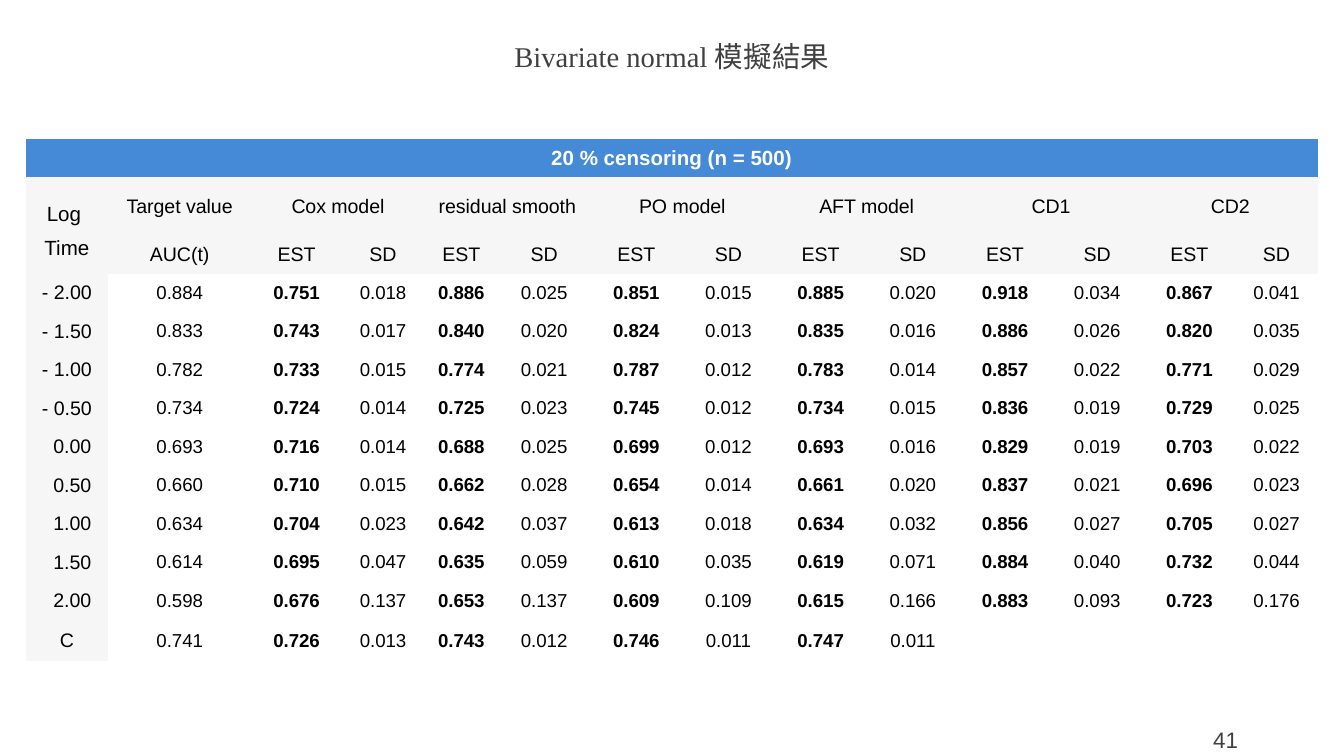
from lxml.etree import SubElement
from pptx import Presentation
from pptx.dml.color import RGBColor
from pptx.enum.text import MSO_ANCHOR as Anchor, PP_ALIGN as Align
from pptx.oxml.ns import qn
from pptx.util import Pt

WHITE = RGBColor(0xFF, 0xFF, 0xFF)
BLACK = RGBColor(0, 0, 0)
CHARCOAL = RGBColor(0x40, 0x40, 0x40)
BLUE = RGBColor(0x44, 0x8A, 0xD7)
PALE_GREY = RGBColor(0xF6, 0xF6, 0xF6)
NO_GRID_STYLE = "{2D5ABB26-0587-4C30-8999-92F81FD0307C}"

COLUMN_WIDTHS = [43.9, 77, 48.2, 44.5, 39.4] + [49.4] * 8 + [44]
ROW_HEIGHT = 20.63
MODEL_ROW_HEIGHT = 31.1
MODELS = ["Cox model", "residual smooth", "PO model", "AFT model", "CD1", "CD2"]
RESULTS = [
    ("- 2.00", "0.884 0.751 0.018 0.886 0.025 0.851 0.015 0.885 0.020 0.918 0.034 0.867 0.041"),
    ("- 1.50", "0.833 0.743 0.017 0.840 0.020 0.824 0.013 0.835 0.016 0.886 0.026 0.820 0.035"),
    ("- 1.00", "0.782 0.733 0.015 0.774 0.021 0.787 0.012 0.783 0.014 0.857 0.022 0.771 0.029"),
    ("- 0.50", "0.734 0.724 0.014 0.725 0.023 0.745 0.012 0.734 0.015 0.836 0.019 0.729 0.025"),
    ("0.00", "0.693 0.716 0.014 0.688 0.025 0.699 0.012 0.693 0.016 0.829 0.019 0.703 0.022"),
    ("0.50", "0.660 0.710 0.015 0.662 0.028 0.654 0.014 0.661 0.020 0.837 0.021 0.696 0.023"),
    ("1.00", "0.634 0.704 0.023 0.642 0.037 0.613 0.018 0.634 0.032 0.856 0.027 0.705 0.027"),
    ("1.50", "0.614 0.695 0.047 0.635 0.059 0.610 0.035 0.619 0.071 0.884 0.040 0.732 0.044"),
    ("2.00", "0.598 0.676 0.137 0.653 0.137 0.609 0.109 0.615 0.166 0.883 0.093 0.723 0.176"),
    ("C", "0.741 0.726 0.013 0.743 0.012 0.746 0.011 0.747 0.011"),
]


def format_span(span, size, color, font="Arial", bold=False):
    """Set the size, colour, typeface and weight of one run."""
    span.font.size = Pt(size)
    span.font.color.rgb = color
    span.font.name = font
    span.font.bold = bold


def place(shape, left, top, width, height):
    """Move a shape to a box given in points."""
    shape.left, shape.top = Pt(left), Pt(top)
    shape.width, shape.height = Pt(width), Pt(height)


def add_title(page, left, top, width, height):
    """Fill the title placeholder with the bilingual heading."""
    title = page.shapes.title
    place(title, left, top, width, height)
    frame = title.text_frame
    frame.margin_top = frame.margin_bottom = 0
    frame.vertical_anchor = Anchor.MIDDLE
    para = frame.paragraphs[0]
    para.alignment = Align.CENTER
    para.space_before = Pt(3)
    for text in ("Bivariate normal ", "模擬結果"):
        span = para.add_run()
        span.text = text
        format_span(span, 15.3, CHARCOAL, "Times New Roman")
        east_asian = SubElement(span.font._element, qn("a:ea"))
        east_asian.set("typeface", "Noto Sans CJK SC")


def write_cell(cell, text, size, color=BLACK, bold=False, spacing=None):
    """Write centred text into a table cell."""
    cell.text_frame.text = text
    for para in cell.text_frame.paragraphs:
        para.alignment = Align.CENTER
        if spacing:
            para.line_spacing = spacing
        for span in para.runs:
            format_span(span, size, color, bold=bold)


def write_headers(table):
    """Merge and write the caption row and the two heading rows."""
    last = len(COLUMN_WIDTHS) - 1
    table.cell(0, 0).merge(table.cell(0, last))
    write_cell(table.cell(0, 0), "20 % censoring (n = 500)", 11, WHITE, True)
    table.cell(1, 0).merge(table.cell(2, 0))
    write_cell(table.cell(1, 0), "Log \nTime", 11, spacing=1.5)
    write_cell(table.cell(1, 1), "Target value", 10.5)
    write_cell(table.cell(2, 1), "AUC(t)", 10.5)
    for index, model in enumerate(MODELS):
        column = 2 + 2 * index
        table.cell(1, column).merge(table.cell(1, column + 1))
        write_cell(table.cell(1, column), model, 10.5)
        write_cell(table.cell(2, column), "EST", 10.5)
        write_cell(table.cell(2, column + 1), "SD", 10.5)


def add_results_table(page, left, top):
    """Build the simulation table with its top left corner at the given point."""
    heights = [ROW_HEIGHT, MODEL_ROW_HEIGHT] + [ROW_HEIGHT] * (1 + len(RESULTS))
    table_frame = page.shapes.add_table(
        len(heights), len(COLUMN_WIDTHS), Pt(left), Pt(top),
        Pt(sum(COLUMN_WIDTHS)), Pt(sum(heights)))
    table = table_frame.table
    table._tbl.tblPr.find(qn("a:tableStyleId")).text = NO_GRID_STYLE
    table.horz_banding = False
    for column, width in zip(table.columns, COLUMN_WIDTHS):
        column.width = Pt(width)
    for row_index, (row, height) in enumerate(zip(table.rows, heights)):
        row.height = Pt(height)
        for column_index, cell in enumerate(row.cells):
            heading = row_index < 3 or column_index == 0
            cell.fill.solid()
            cell.fill.fore_color.rgb = (
                BLUE if row_index == 0 else PALE_GREY if heading else WHITE)
            cell.margin_left = cell.margin_right = 0
            cell.margin_top = cell.margin_bottom = 0
            cell.vertical_anchor = Anchor.MIDDLE
    write_headers(table)
    for row_index, (label, values) in enumerate(RESULTS, start=3):
        label_cell = table.cell(row_index, 0)
        write_cell(label_cell, label, 10.5)
        if label[0].isdigit():
            label_cell.margin_left = Pt(5.8)
        for column, value in enumerate(values.split(), start=1):
            is_estimate = column > 1 and column % 2 == 0
            write_cell(table.cell(row_index, column), value, 10, bold=is_estimate)


def add_page_number(page, left, top, width, height):
    """Add the right-aligned page number."""
    box = page.shapes.add_textbox(Pt(left), Pt(top), Pt(width), Pt(height))
    frame = box.text_frame
    frame.word_wrap = True
    frame.vertical_anchor = Anchor.MIDDLE
    frame.text = "41"
    para = frame.paragraphs[0]
    para.alignment = Align.RIGHT
    format_span(para.runs[0], 12, CHARCOAL)


def main():
    """Build the one-page deck and save it."""
    deck = Presentation()
    deck.slide_width, deck.slide_height = Pt(720), Pt(405)
    page = deck.slides.add_slide(deck.slide_layouts[5])
    add_title(page, 0, 18.7, 720, 22.3)
    add_results_table(page, 13.9, 74.4)
    add_page_number(page, 508.3, 385.2, 162, 21.6)
    deck.save("out.pptx")


if __name__ == "__main__":
    main()
